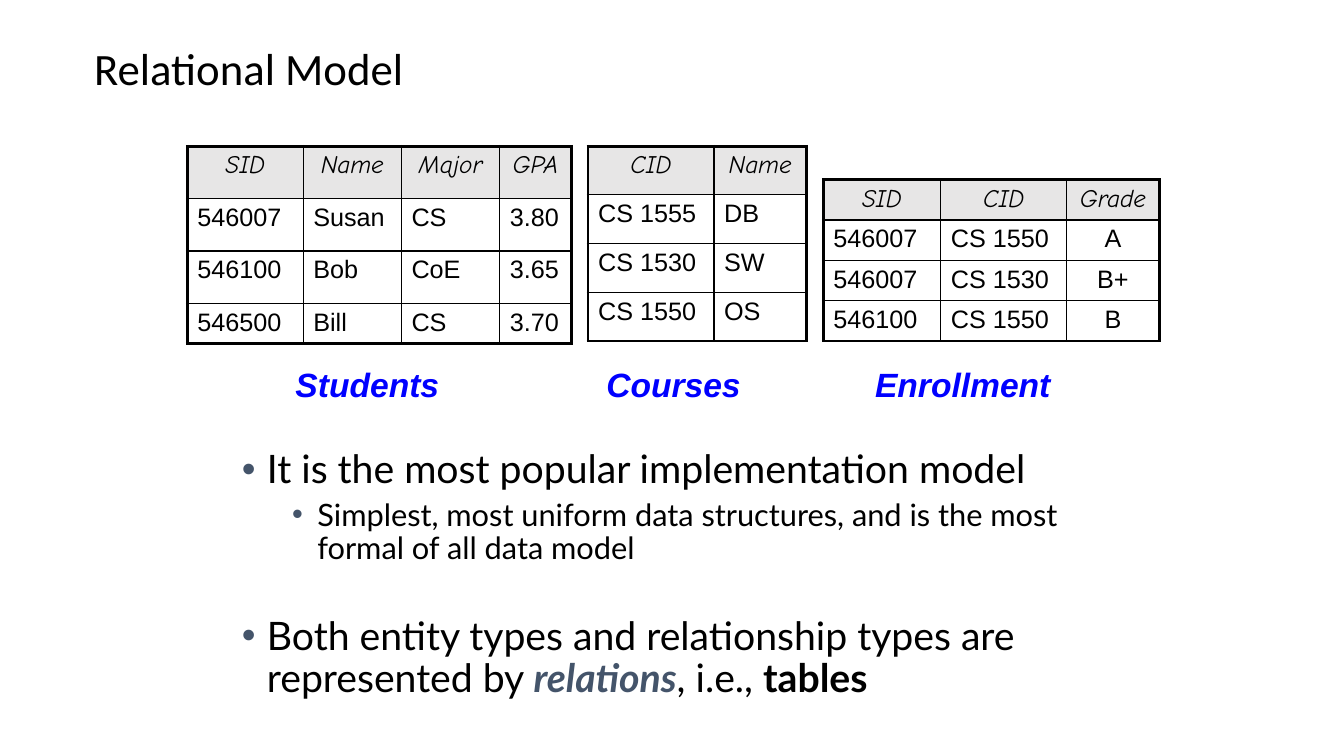
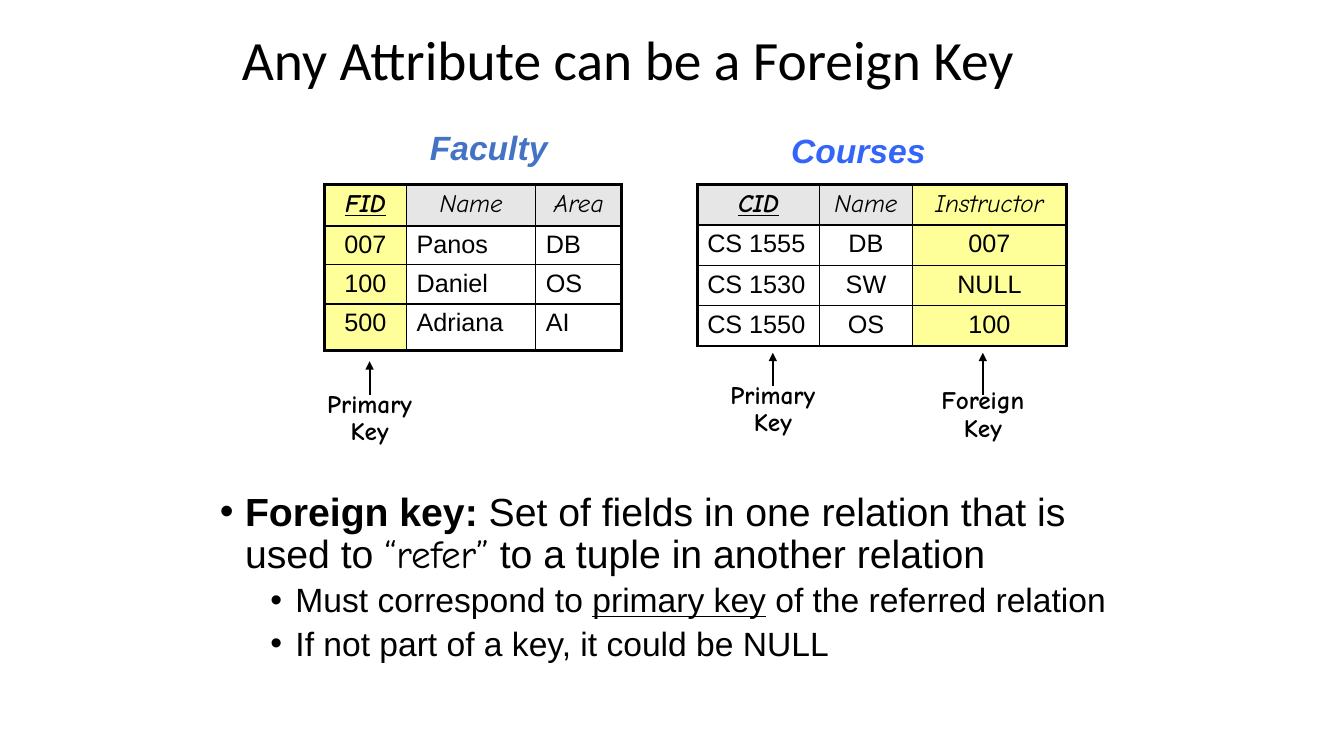
from lxml import etree
from pptx import Presentation
from pptx.dml.color import RGBColor
from pptx.enum.shapes import MSO_CONNECTOR
from pptx.enum.text import MSO_ANCHOR, MSO_AUTO_SIZE, PP_ALIGN
from pptx.oxml.ns import qn
from pptx.util import Inches, Pt

STRAIGHT = MSO_CONNECTOR.STRAIGHT
MIDDLE = MSO_ANCHOR.MIDDLE
NO_FIT = MSO_AUTO_SIZE.NONE
LEFT, CENTER = PP_ALIGN.LEFT, PP_ALIGN.CENTER

# The slide is a grid of 160 columns by 90 rows, twelve to the inch
COLUMNS, ROWS, PER_INCH = 160, 90, 12
TITLE_ONLY = 5

BLACK, GRAY, YELLOW = "000000", "E7E6E6", "FFFF99"
SLATE, BLUE = "44546A", "0000FF"
SANS, HAND, TITLE_FONT, BODY_FONT = "Arial", "Comic Neue", "Calibri", "Lato"


def grid(units):
    return Inches(units / PER_INCH)


def color(value):
    return RGBColor.from_string(value)


def write(paragraph, text, font=SANS, size=18, fill=BLACK,
          bold=False, italic=False, underline=False):
    """Add one formatted run to a paragraph."""
    run = paragraph.add_run()
    run.text = text
    run.font.name = font
    run.font.size = Pt(size)
    run.font.color.rgb = color(fill)
    run.font.bold = bold
    run.font.italic = italic
    run.font.underline = underline


def add_element(parent, tag, **attributes):
    return etree.SubElement(parent, qn(tag), attributes)


class Deck:
    THIN, THICK = 1, 2.25
    LINE_SPACING = 0.9

    def __init__(self):
        self.presentation = Presentation()
        self.presentation.slide_width = grid(COLUMNS)
        self.presentation.slide_height = grid(ROWS)
        self.slide = None

    def new_slide(self, title, left, top, width, size):
        layout = self.presentation.slide_layouts[TITLE_ONLY]
        self.slide = self.presentation.slides.add_slide(layout)
        shape = self.slide.shapes.title
        shape.left, shape.top = grid(left), grid(top)
        shape.width, shape.height = grid(width), grid(7)
        frame = shape.text_frame
        frame.auto_size = NO_FIT
        frame.vertical_anchor = MIDDLE
        paragraph = frame.paragraphs[0]
        paragraph.alignment = LEFT
        paragraph.line_spacing = self.LINE_SPACING
        write(paragraph, title, font=TITLE_FONT, size=size)

    def text_frame(self, left, top, width, height):
        shape = self.slide.shapes.add_textbox(
            grid(left), grid(top), grid(width), grid(height))
        shape.text_frame.word_wrap = True
        return shape.text_frame

    def label(self, text, left, top, width, height=5.6, alignment=LEFT, **style):
        paragraph = self.text_frame(left, top, width, height).paragraphs[0]
        paragraph.alignment = alignment
        paragraph.line_spacing = self.LINE_SPACING
        write(paragraph, text, bold=True, **style)

    def table_name(self, text, left, top, width, fill=BLUE):
        self.label(text, left, top, width, size=24, fill=fill, italic=True)

    def key_note(self, text, center, top, arrow_start, arrow_end):
        """A caption with an arrow pointing up to a key column."""
        self.label(text, center - 8, top, 16, 7.8, CENTER, font=HAND)
        arrow = self.slide.shapes.add_connector(
            STRAIGHT, grid(center), grid(arrow_start), grid(center), grid(arrow_end))
        arrow.line.color.rgb = color(BLACK)
        arrow.line.width = Pt(1.5)
        add_element(arrow.line._get_or_add_ln(), "a:tailEnd", type="triangle")
        add_element(arrow._element.spPr, "a:effectLst")

    def bullets(self, left, top, width, height, items, bullet_color=BLACK):
        """Each item is (level, space before, runs); a run is (text, format)."""
        frame = self.text_frame(left, top, width, height)
        for index, (level, space, runs) in enumerate(items):
            paragraph = frame.add_paragraph() if index else frame.paragraphs[0]
            paragraph.level = level
            paragraph.line_spacing = self.LINE_SPACING
            paragraph.space_before = Pt(space)
            properties = paragraph._p.get_or_add_pPr()
            properties.set("marL", str(Inches(0.25 + 0.5 * level)))
            properties.set("indent", str(-Inches(0.25)))
            add_element(add_element(properties, "a:buClr"),
                        "a:srgbClr", val=bullet_color)
            add_element(properties, "a:buFont", typeface=SANS)
            add_element(properties, "a:buChar", char="•")
            for text, style in runs:
                write(paragraph, text, **style)

    def table(self, left, top, widths, heights, data,
              centered=(), highlighted=(), key=None):
        """centered, highlighted and key are column numbers."""
        table = self.slide.shapes.add_table(
            len(heights), len(widths), grid(left), grid(top),
            grid(sum(widths)), grid(sum(heights))).table
        table.first_row = table.horz_banding = False
        for column, width in zip(table.columns, widths):
            column.width = grid(width)
        for row, height in zip(table.rows, heights):
            row.height = grid(height)
        for r, values in enumerate(data):
            for c, value in enumerate(values):
                cell, header = table.cell(r, c), r == 0
                paragraph = cell.text_frame.paragraphs[0]
                paragraph.alignment = CENTER if header or c in centered else LEFT
                is_key = header and c == key
                write(paragraph, value, font=HAND if header else SANS,
                      italic=header, bold=is_key, underline=is_key)
                if header or c in highlighted:
                    cell.fill.solid()
                    cell.fill.fore_color.rgb = color(
                        YELLOW if c in highlighted else GRAY)
                else:
                    cell.fill.background()
                self.borders(cell, L=c == 0, R=c == len(widths) - 1,
                             T=header, B=r == len(heights) - 1)

    def borders(self, cell, **outer_sides):
        """Thick lines on the outer sides, thin ones within."""
        properties = cell._tc.get_or_add_tcPr()
        for position, (side, outer) in enumerate(outer_sides.items()):
            width = Pt(self.THICK if outer else self.THIN)
            line = etree.Element(qn("a:ln" + side), w=str(width))
            add_element(add_element(line, "a:solidFill"), "a:srgbClr", val=BLACK)
            properties.insert(position, line)


def relational_model(deck):
    deck.new_slide("Relational Model", 10, 5, 140, 32)

    # Three relations
    deck.table(22.3, 17.4, [13.8, 11.7, 11.7, 8.5], [6.25] * 3 + [4.8], [
        ("SID", "Name", "Major", "GPA"),
        ("546007", "Susan", "CS", "3.80"),
        ("546100", "Bob", "CoE", "3.65"),
        ("546500", "Bill", "CS", "3.70")])
    deck.table(70, 17.4, [15, 11], [5.8] * 4, [
        ("CID", "Name"), ("CS 1555", "DB"), ("CS 1530", "SW"), ("CS 1550", "OS")])
    deck.table(98, 21.4, [14, 15, 11], [4.8] * 4, [
        ("SID", "CID", "Grade"),
        ("546007", "CS 1550", "A"),
        ("546007", "CS 1530", "B+"),
        ("546100", "CS 1550", "B")], centered=[2])
    for name, left, width in (("Students", 34, 24), ("Courses", 71, 19),
                              ("Enrollment", 103, 24)):
        deck.table_name(name, left, 43.3, width)

    # Remarks
    main = {"font": BODY_FONT, "size": 28}
    detail = {"font": BODY_FONT, "size": 22}
    deck.bullets(27.6, 53, 105, 31.4, [
        (0, 10, [("It is the most popular implementation model", main)]),
        (1, 5, [("Simplest, most uniform data structures, and is the most "
                 "formal of all data model", detail)]),
        (0, 36, [("Both entity types and relationship types are represented by ", main),
                 ("relations", dict(main, fill=SLATE, bold=True, italic=True)),
                 (", i.e., ", main),
                 ("tables", dict(main, bold=True))]),
    ], bullet_color=SLATE)


def foreign_key(deck):
    deck.new_slide("Any Attribute can be a Foreign Key", 27.6, 4, 105, 39.6)

    # Two linked relations
    deck.table(38.6, 22, [9.8, 15.4, 10.2], [4.9, 4.6, 4.7, 5.5], [
        ("FID", "Name", "Area"),
        ("007", "Panos", "DB"),
        ("100", "Daniel", "OS"),
        ("500", "Adriana", "AI")], centered=[0], highlighted=[0], key=0)
    deck.table(83, 22, [14.6, 11, 18.4], [4.8] * 4, [
        ("CID", "Name", "Instructor"),
        ("CS 1555", "DB", "007"),
        ("CS 1530", "SW", "NULL"),
        ("CS 1550", "OS", "100")], centered=[1, 2], highlighted=[2], key=0)
    deck.table_name("Faculty", 50, 15, 18, "4472C4")
    deck.table_name("Courses", 93, 15.4, 19, "3365FB")

    # Key columns
    deck.key_note("Primary Key", 44, 46, 47, 43)
    deck.key_note("Foreign Key", 117, 45.6, 47, 42)
    deck.key_note("Primary Key", 92, 45, 46, 42)

    # Definition
    main, detail = {"size": 28}, {"size": 24}
    deck.bullets(25, 58, 113, 31, [
        (0, 10, [("Foreign key:", dict(main, bold=True)),
                 (" Set of fields in one relation that is used to ", main),
                 ("“refer”", dict(main, font=HAND)),
                 (" to a tuple in another relation", main)]),
        (1, 5, [("Must correspond to ", detail),
                ("primary key", dict(detail, underline=True)),
                (" of the referred relation", detail)]),
        (1, 5, [("If not part of a key, it could be NULL", detail)]),
    ])


def main():
    deck = Deck()
    relational_model(deck)
    foreign_key(deck)
    deck.presentation.save("out.pptx")


if __name__ == "__main__":
    main()
